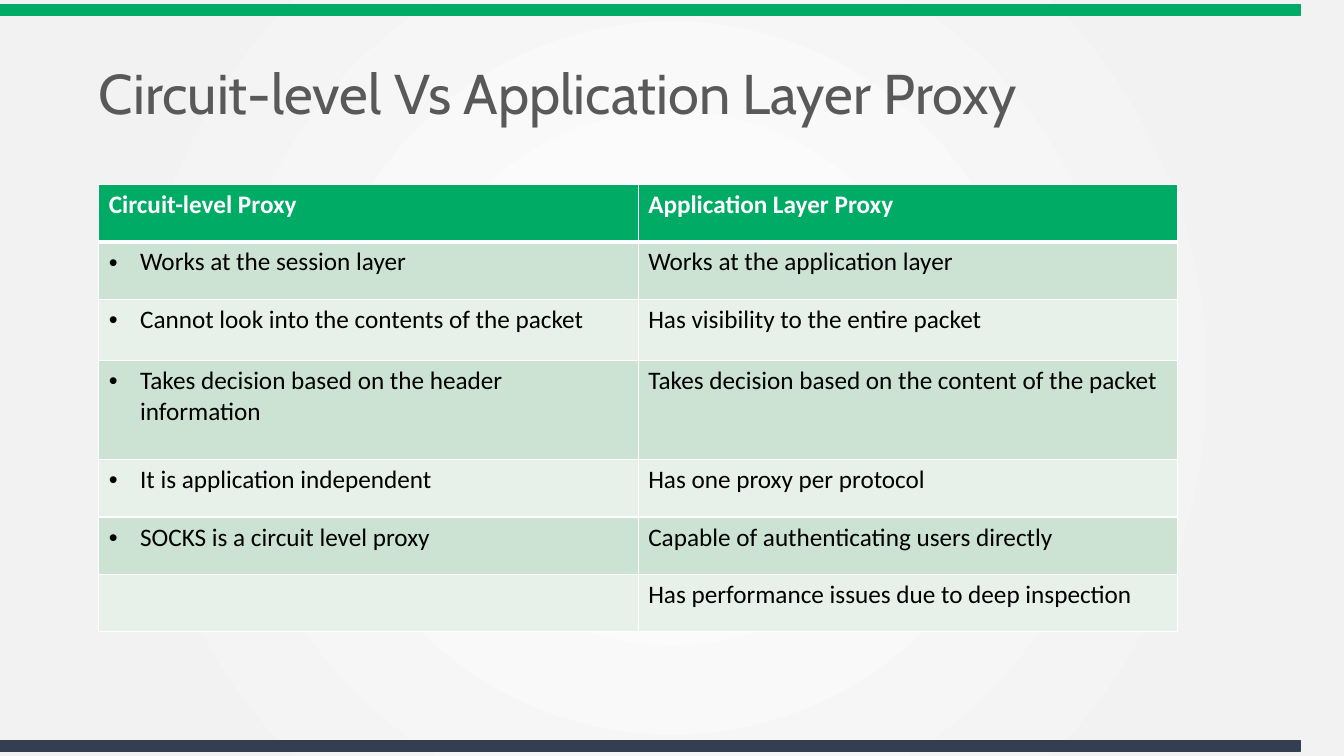
from dataclasses import dataclass

from lxml import etree
from pptx import Presentation
from pptx.dml.color import RGBColor
from pptx.enum.shapes import MSO_SHAPE
from pptx.enum.text import MSO_ANCHOR, MSO_AUTO_SIZE, PP_ALIGN
from pptx.oxml.ns import qn
from pptx.util import Inches, Pt

RECTANGLE = MSO_SHAPE.RECTANGLE
MIDDLE = MSO_ANCHOR.MIDDLE
LEFT = PP_ALIGN.LEFT
NO_AUTOFIT = MSO_AUTO_SIZE.NONE


@dataclass(frozen=True)
class Theme:
    green: str = "00AC65"
    navy: str = "333F50"
    grey: str = "595959"
    black: str = "000000"
    white: str = "FFFFFF"
    backdrop: str = "F2F2F2"
    bands: tuple = ("CCE3D3", "E7F1EA")
    title_font: str = "Cabin"
    body_font: str = "Calibri"
    title_size: int = 40
    body_size: int = 18


THEME = Theme()
SLIDE_WIDTH, SLIDE_HEIGHT = 13.33, 7.5
BAR_WIDTH, BAR_HEIGHT = 12.9, 0.1
BULLET_INDENT = 0.31
ROW_HEIGHT = 0.57
ROW_HEIGHTS = [ROW_HEIGHT] * 2 + [0.61, 0.98] + [ROW_HEIGHT] * 3

COMPARISON = [
    ("Circuit-level Proxy", "Application Layer Proxy"),
    ("Works at the session layer", "Works at the application layer"),
    ("Cannot look into the contents of the packet",
     "Has visibility to the entire packet"),
    ("Takes decision based on the header information",
     "Takes decision based on the content of the packet"),
    ("It is application independent", "Has one proxy per protocol"),
    ("SOCKS is a circuit level proxy",
     "Capable of authenticating users directly"),
    ("", "Has performance issues due to deep inspection"),
]


def color(value):
    return RGBColor.from_string(value)


def write_text(frame, text, *, size=THEME.body_size, font=THEME.body_font,
               fill=THEME.black, bold=False, bullet=False, line_spacing=None):
    paragraph = frame.paragraphs[0]
    paragraph.alignment = LEFT
    paragraph.line_spacing = line_spacing
    run = paragraph.add_run()
    run.text = text
    run.font.size = Pt(size)
    run.font.name = font
    run.font.bold = bold
    run.font.color.rgb = color(fill)
    if bullet:
        properties = paragraph._p.get_or_add_pPr()
        properties.set("marL", str(Inches(BULLET_INDENT)))
        properties.set("indent", str(-Inches(BULLET_INDENT)))
        etree.SubElement(properties, qn("a:buFont"), typeface="Arial")
        etree.SubElement(properties, qn("a:buChar"), char="•")


def paint_background(slide):
    """Radial gradient, white at the centre."""
    fill = slide.background.fill
    fill.gradient()
    for stop, value, position in zip(
            fill.gradient_stops, (THEME.white, THEME.backdrop), (0, 0.81)):
        stop.color.rgb = color(value)
        stop.position = position
    gradient = slide.background._cSld.find(".//" + qn("a:gradFill"))
    gradient.remove(gradient.find(qn("a:lin")))
    circle = etree.SubElement(gradient, qn("a:path"), path="circle")
    etree.SubElement(circle, qn("a:fillToRect"),
                     {side: "50000" for side in "ltrb"})


def add_bar(slide, top, value):
    bar = slide.shapes.add_shape(RECTANGLE, 0, Inches(top),
                                 Inches(BAR_WIDTH), Inches(BAR_HEIGHT))
    bar.shadow.inherit = False
    bar.fill.solid()
    bar.fill.fore_color.rgb = color(value)
    bar.line.color.rgb = color(value)
    bar.line.width = Pt(1)


def place_title(slide, box, text):
    title = slide.shapes.title
    title.left, title.top, title.width, title.height = map(Inches, box)
    frame = title.text_frame
    frame.word_wrap = True
    frame.auto_size = NO_AUTOFIT
    frame.vertical_anchor = MIDDLE
    write_text(frame, text, size=THEME.title_size, font=THEME.title_font,
               fill=THEME.grey, line_spacing=0.9)


def set_borders(cell, bottom):
    """White lines; they must precede the fill in the cell properties."""
    properties = cell._tc.get_or_add_tcPr()
    for index, side in enumerate("LRTB"):
        width = bottom if side == "B" else 1
        line = etree.Element(qn(f"a:ln{side}"), w=str(Pt(width)))
        solid = etree.SubElement(line, qn("a:solidFill"))
        etree.SubElement(solid, qn("a:srgbClr"), val=THEME.white)
        properties.insert(index, line)


def add_comparison(slide, left, top, width, rows):
    frame = slide.shapes.add_table(
        len(rows), len(rows[0]), Inches(left), Inches(top),
        Inches(width), Inches(sum(ROW_HEIGHTS)))
    table = frame.table
    for row, height in zip(table.rows, ROW_HEIGHTS):
        row.height = Inches(height)
    for row_index, texts in enumerate(rows):
        header = row_index == 0
        band = THEME.green if header else THEME.bands[(row_index - 1) % 2]
        for column_index, text in enumerate(texts):
            cell = table.cell(row_index, column_index)
            cell.fill.solid()
            cell.fill.fore_color.rgb = color(band)
            set_borders(cell, bottom=3 if header else 1)
            if text:
                write_text(cell.text_frame, text, bold=header,
                           fill=THEME.white if header else THEME.black,
                           bullet=not header and column_index == 0)


def build_slide(presentation):
    slide = presentation.slides.add_slide(presentation.slide_layouts[5])
    paint_background(slide)
    # Top and bottom bars
    add_bar(slide, BAR_HEIGHT / 2, THEME.green)
    add_bar(slide, SLIDE_HEIGHT - 1.5 * BAR_HEIGHT, THEME.navy)
    # Title and comparison table
    place_title(slide, (0.88, 0.56, 11.7, 0.8),
                "Circuit-level Vs Application Layer Proxy")
    add_comparison(slide, 0.98, 1.83, 10.7, COMPARISON)


def main():
    presentation = Presentation()
    presentation.slide_width = Inches(SLIDE_WIDTH)
    presentation.slide_height = Inches(SLIDE_HEIGHT)
    build_slide(presentation)
    presentation.save("out.pptx")


if __name__ == "__main__":
    main()
